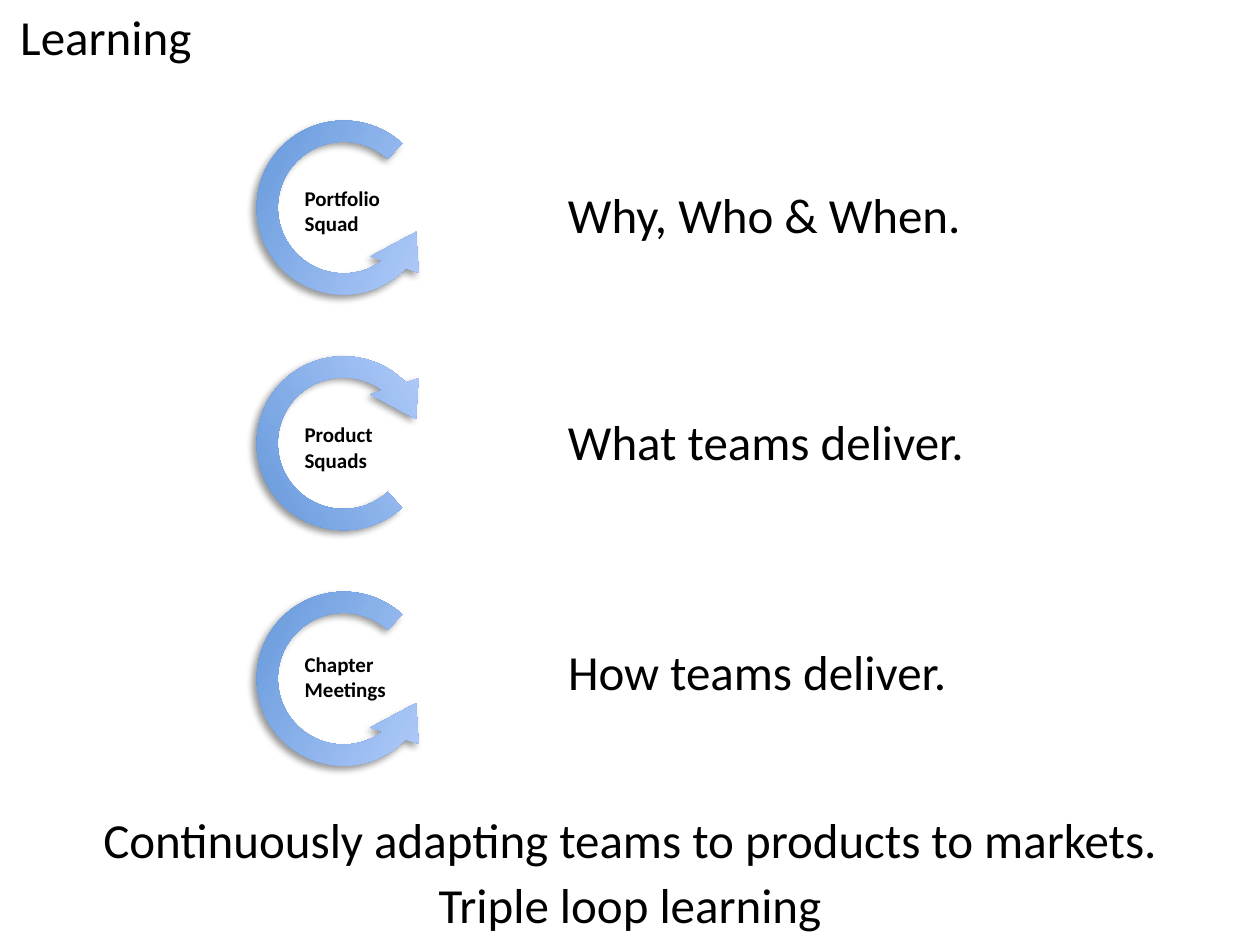
"""Build the triple loop learning slide."""
from lxml.etree import fromstring
from pptx import Presentation
from pptx.dml.color import RGBColor
from pptx.enum.shapes import MSO_SHAPE
from pptx.enum.text import MSO_AUTO_SIZE, PP_ALIGN
from pptx.oxml.ns import nsdecls
from pptx.util import Pt

FONT = "Calibri"
BLACK = RGBColor(0x00, 0x00, 0x00)
DARK_BLUE = RGBColor(0x55, 0x8E, 0xD5)
LIGHT_BLUE = RGBColor(0xBF, 0xD4, 0xFF)
PALE_BLUE = RGBColor(0xE6, 0xEE, 0xFF)
STOPS = [(0, DARK_BLUE), (96, LIGHT_BLUE), (100, PALE_BLUE)]

TITLE = ["Learning"]
SUMMARY = ["Continuously adapting teams to products to markets.", "Triple loop learning"]
LOOPS = [
    {"label": ["Portfolio", "Squad"], "label_box": (102.2, 59), "flip": True,
     "answer": ["Why, Who & When."], "answer_box": (102.2, 260)},
    {"label": ["Product", "Squads"], "label_box": (237.6, 55.4), "flip": False,
     "answer": ["What teams deliver."], "answer_box": (231.8, 255)},
    {"label": ["Chapter", "Meetings"], "label_box": (368.6, 62), "flip": True,
     "answer": ["How teams deliver."], "answer_box": (362.9, 248.4)},
]
LOOP_LEFT, LOOP_TOP, LOOP_STEP, LOOP_SIZE = 138.2, 60.5, 134.6, 116.4
LABEL_LEFT, ANSWER_LEFT = 167, 317.5
TILT = 14.6
ARROW_SHAPE = (0.104, 17.789, 195.828, 37.418, 0.125)


def add_text(s, lines, left, top, width, height, size,
             bold=False, align=PP_ALIGN.LEFT, spacing=None):
    tf = s.shapes.add_textbox(Pt(left), Pt(top), Pt(width), Pt(height)).text_frame
    tf.word_wrap = False
    tf.auto_size = MSO_AUTO_SIZE.SHAPE_TO_FIT_TEXT
    for i, line in enumerate(lines):
        p = tf.add_paragraph() if i else tf.paragraphs[0]
        p.alignment = align
        p.line_spacing = spacing
        r = p.add_run()
        r.text = line
        r.font.name = FONT
        r.font.size = Pt(size)
        r.font.bold = bold
        r.font.color.rgb = BLACK


def add_loop(s, top, flip):
    sp = s.shapes.add_shape(MSO_SHAPE.CIRCULAR_ARROW, Pt(LOOP_LEFT), Pt(top),
                            Pt(LOOP_SIZE), Pt(LOOP_SIZE))
    for i, value in enumerate(ARROW_SHAPE):
        sp.adjustments[i] = value
    sp.rotation = TILT if flip else 360 - TILT
    sp.line.fill.background()
    props = sp._element.spPr
    if flip:
        props.xfrm.set("flipV", "1")
    stops = "".join(f'<a:gs pos="{pos * 1000}"><a:srgbClr val="{color}"/></a:gs>'
                    for pos, color in STOPS)
    gradient = fromstring(
        f'<a:gradFill {nsdecls("a")} rotWithShape="1"><a:gsLst>{stops}</a:gsLst>'
        f'<a:lin ang="{346 * 60000}" scaled="0"/></a:gradFill>')
    shadow = fromstring(
        f'<a:effectLst {nsdecls("a")}><a:outerShdw blurRad="{Pt(4)}" dist="{Pt(3)}" '
        f'dir="{135 * 60000}" rotWithShape="0"><a:srgbClr val="{BLACK}">'
        '<a:alpha val="40000"/></a:srgbClr></a:outerShdw></a:effectLst>')
    props.prstGeom.addnext(gradient)
    props.append(shadow)


def main():
    prs = Presentation()
    prs.slide_width, prs.slide_height = Pt(720), Pt(540)
    s = prs.slides.add_slide(prs.slide_layouts[6])
    add_text(s, TITLE, 0.7, 0, 119.5, 41, 28, align=PP_ALIGN.CENTER)
    for i, loop in enumerate(LOOPS):
        add_loop(s, LOOP_TOP + i * LOOP_STEP, loop["flip"])
        top, width = loop["label_box"]
        add_text(s, loop["label"], LABEL_LEFT, top, width, 35.3, 12, bold=True)
        top, width = loop["answer_box"]
        add_text(s, loop["answer"], ANSWER_LEFT, top, width, 41, 28)
    add_text(s, SUMMARY, 33, 455.8, 654, 81.4, 28, align=PP_ALIGN.CENTER, spacing=1.1)
    prs.save("out.pptx")


if __name__ == "__main__":
    main()
